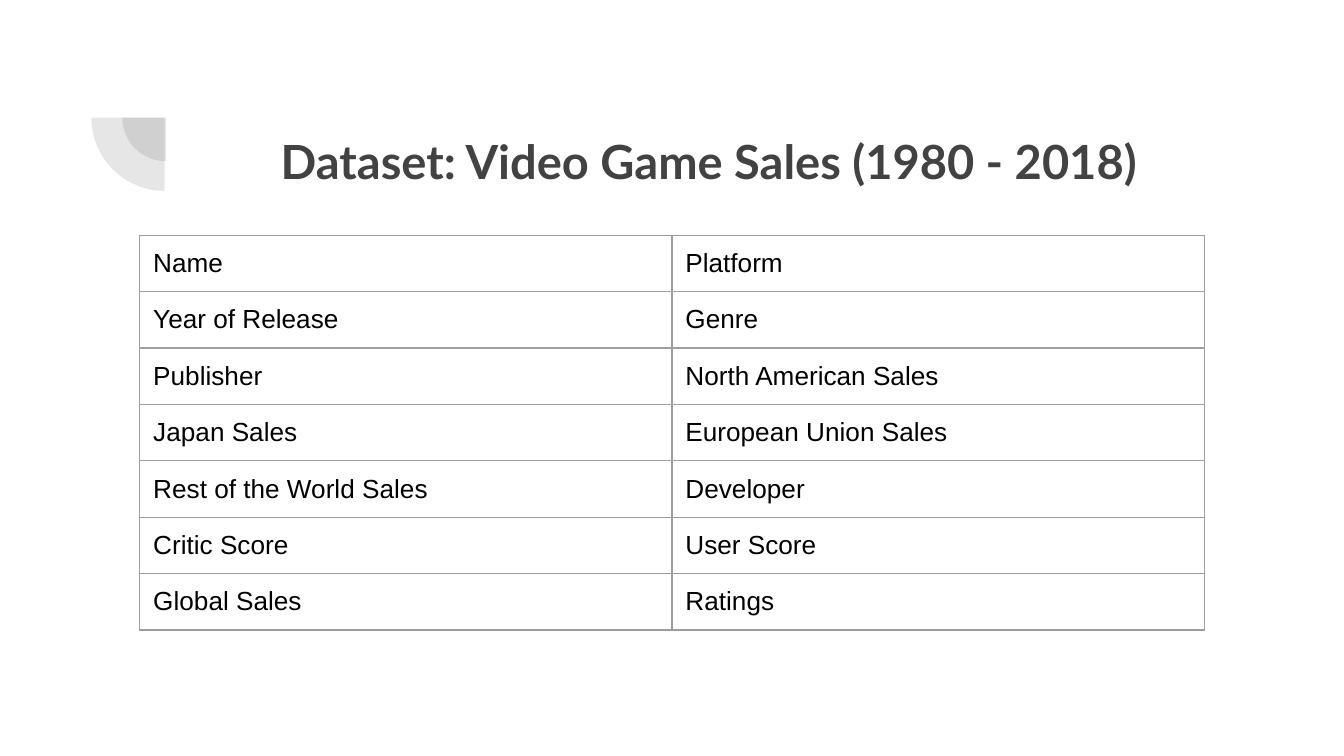
from typing import NamedTuple

from lxml.etree import SubElement
from pptx import Presentation
from pptx.dml.color import RGBColor
from pptx.enum.shapes import MSO_SHAPE
from pptx.enum.text import MSO_ANCHOR, MSO_AUTO_SIZE, PP_ALIGN
from pptx.oxml import parse_xml
from pptx.oxml.ns import nsdecls, qn
from pptx.util import Inches, Pt

DARK = "424242"
BORDER = "9E9E9E"
INSET = Inches(0.1)


class Quarter(NamedTuple):
    left: float
    top: float
    size: float


class Row(NamedTuple):
    left: str
    right: str


QUARTERS = [Quarter(0.91, 0.55, 0.65), Quarter(0.68, 0.33, 1.09)]
FIELDS = [
    Row("Name", "Platform"),
    Row("Year of Release", "Genre"),
    Row("Publisher", "North American Sales"),
    Row("Japan Sales", "European Union Sales"),
    Row("Rest of the World Sales", "Developer"),
    Row("Critic Score", "User Score"),
    Row("Global Sales", "Ratings"),
]


def color(value: str) -> RGBColor:
    return RGBColor.from_string(value)


def set_insets(target) -> None:
    target.margin_left = target.margin_right = INSET
    target.margin_top = target.margin_bottom = INSET


def format_text(para, font: str, size: float, value: str, bold: bool = False) -> None:
    for span in para.runs:
        span.font.name = font
        span.font.size = Pt(size)
        span.font.bold = bold
        span.font.color.rgb = color(value)


def draw_quarter(page, quarter: Quarter) -> None:
    size = Inches(quarter.size)
    pie = page.shapes.add_shape(
        MSO_SHAPE.PIE, Inches(quarter.left), Inches(quarter.top), size, size)
    pie.rotation = 270
    pie.adjustments[0] = 108
    pie.adjustments[1] = 162
    pie.shadow.inherit = False
    pie.line.fill.background()
    pie.fill.solid()
    pie.fill.fore_color.rgb = color(DARK)
    tint = pie.element.spPr.find(f"{qn('a:solidFill')}/{qn('a:srgbClr')}")
    SubElement(tint, qn("a:alpha"), val="13000")


def draw_title(page, text: str) -> None:
    title = page.shapes.title
    title.left, title.top = Inches(1.43), Inches(0.65)
    title.width, title.height = Inches(7.69), Inches(1.09)
    frame = title.text_frame
    frame.text = text
    frame.word_wrap = True
    frame.auto_size = MSO_AUTO_SIZE.NONE
    frame.vertical_anchor = MSO_ANCHOR.MIDDLE
    set_insets(frame)
    para = frame.paragraphs[0]
    para.alignment = PP_ALIGN.CENTER
    format_text(para, "Lato", 25.2, DARK, bold=True)
    # Bring the title in front of the quarter circles
    page.shapes.element.append(title.element)


def set_borders(cell) -> None:
    properties = cell._tc.get_or_add_tcPr()
    for index, side in enumerate(("lnL", "lnR", "lnT", "lnB")):
        properties.insert(index, parse_xml(
            f'<a:{side} {nsdecls("a")} w="{Pt(0.75)}"><a:solidFill>'
            f'<a:srgbClr val="{BORDER}"/></a:solidFill></a:{side}>'))


def draw_table(page, rows: list[Row]) -> None:
    column_width, row_height = Inches(3.96), Inches(0.42)
    table = page.shapes.add_table(
        len(rows), 2, Inches(1.04), Inches(1.75),
        column_width * 2, row_height * len(rows)).table
    table.first_row = False
    table.horz_banding = False
    for row_index, row in enumerate(rows):
        table.rows[row_index].height = row_height
        for column_index, text in enumerate(row):
            cell = table.cell(row_index, column_index)
            cell.text_frame.text = text
            set_insets(cell)
            format_text(cell.text_frame.paragraphs[0], "Arial", 14, "000000")
            cell.fill.background()
            set_borders(cell)


def main() -> None:
    # Widescreen page, 16:9
    deck = Presentation()
    deck.slide_width = Inches(10)
    deck.slide_height = deck.slide_width * 9 // 16
    page = deck.slides.add_slide(deck.slide_layouts[5])

    # Corner ornament
    for quarter in QUARTERS:
        draw_quarter(page, quarter)

    # Heading and data fields
    draw_title(page, "Dataset: Video Game Sales (1980 - 2018)")
    draw_table(page, FIELDS)

    deck.save("out.pptx")


if __name__ == "__main__":
    main()
